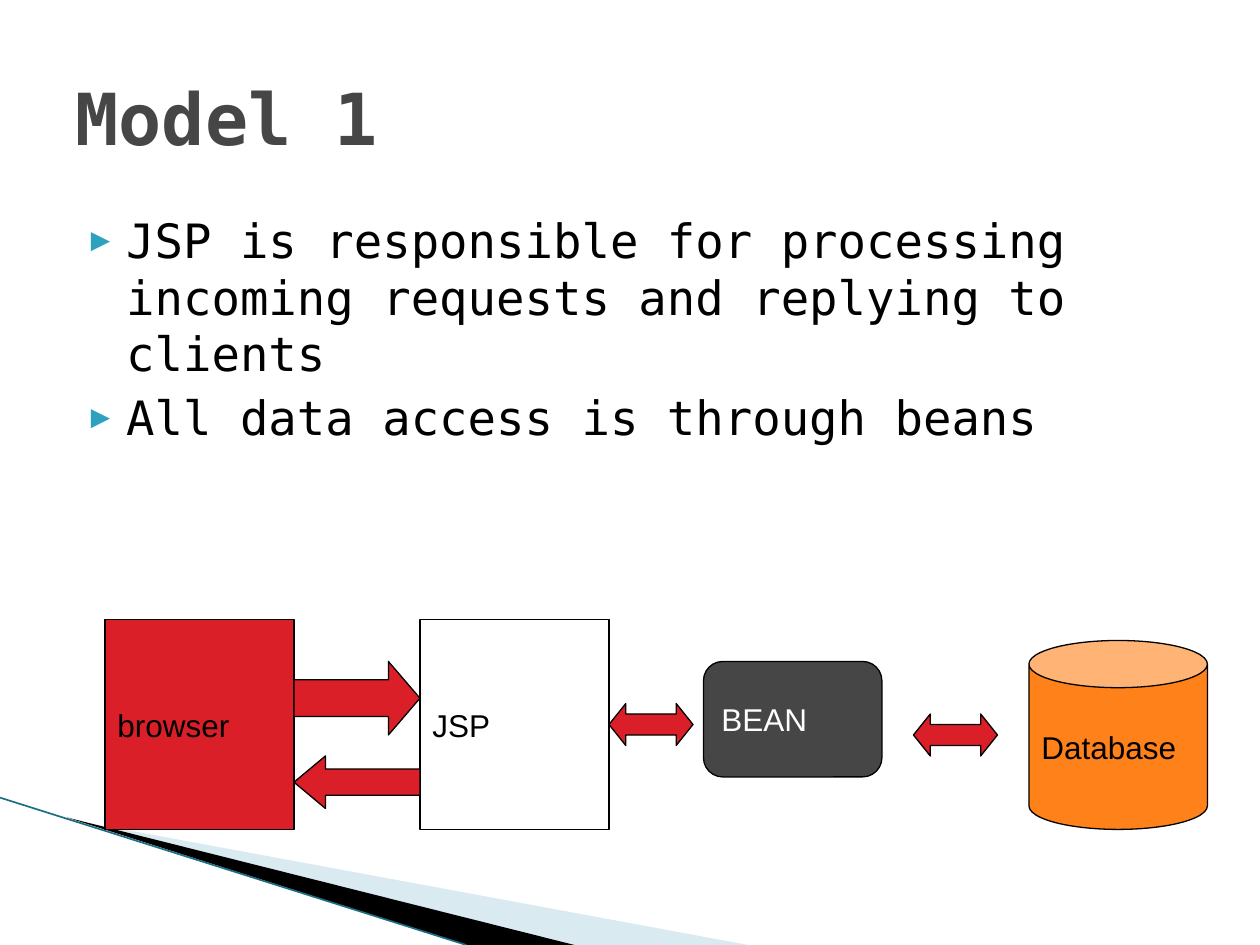
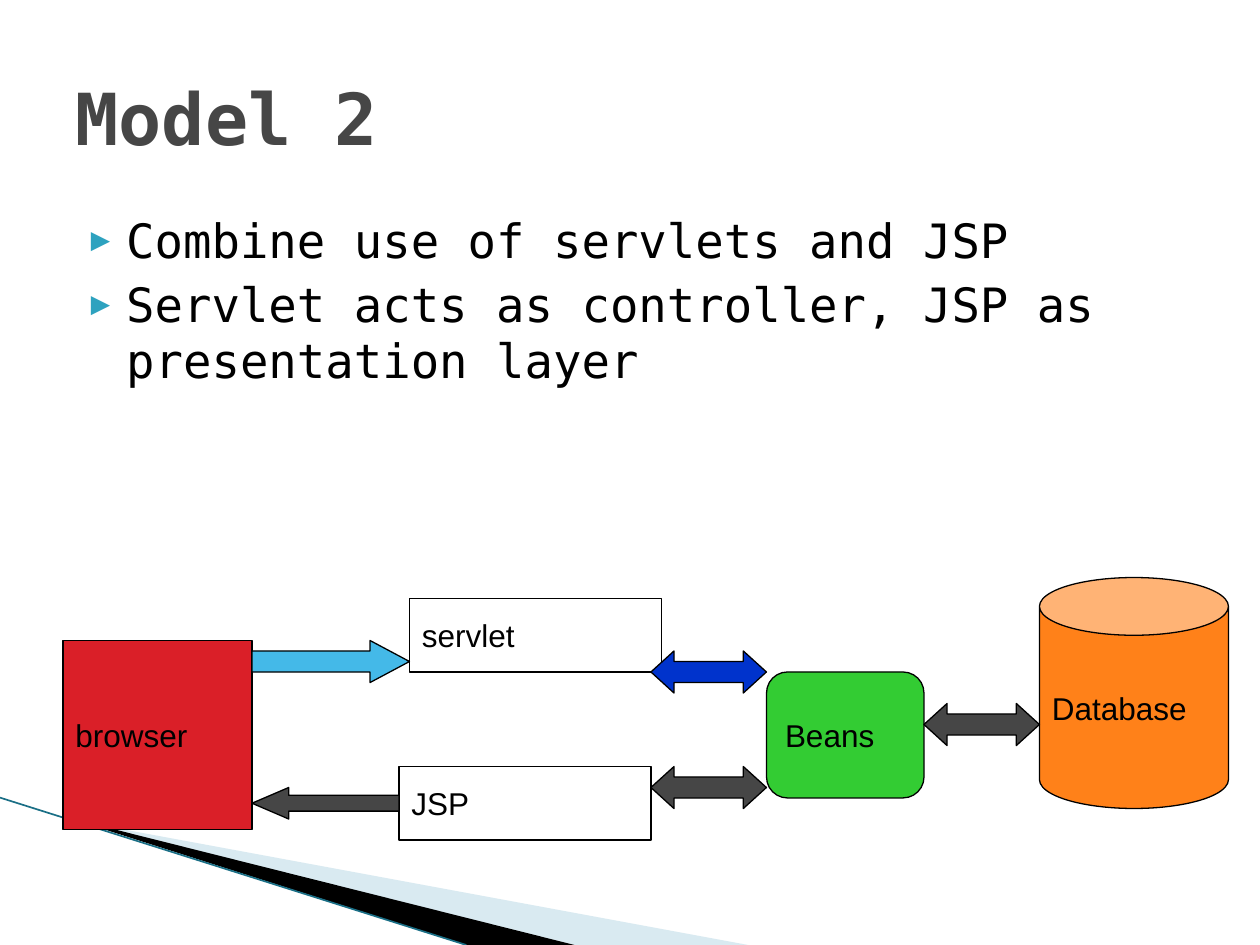
from dataclasses import dataclass

from lxml.etree import SubElement
from pptx import Presentation
from pptx.dml.color import RGBColor
from pptx.enum.shapes import MSO_CONNECTOR, MSO_SHAPE
from pptx.enum.text import MSO_ANCHOR, MSO_AUTO_SIZE, PP_ALIGN
from pptx.oxml.ns import qn
from pptx.util import Cm, Length, Pt

BLACK = RGBColor(0x00, 0x00, 0x00)
WHITE = RGBColor(0xFF, 0xFF, 0xFF)
CHARCOAL = RGBColor(0x46, 0x46, 0x46)
RED = RGBColor(0xDA, 0x1F, 0x28)
ORANGE = RGBColor(0xFF, 0x81, 0x19)
GREEN = RGBColor(0x33, 0xCC, 0x33)
SKY = RGBColor(0x44, 0xB9, 0xE8)
BLUE = RGBColor(0x00, 0x33, 0xCC)
TEAL = RGBColor(0x2D, 0xA2, 0xBF)
PALE_BLUE = RGBColor(0xA0, 0xCB, 0xDC)
DEEP_TEAL = RGBColor(0x1A, 0x6F, 0x86)

HEADING_FONT = "DejaVu Sans Mono"
LABEL_FONT = "Arial"
GRID_STEP = 2.54 / 12

PALE_WEDGE = [(1.4, 16.52), (15.08, 19.05), (11.58, 19.05)]
BLACK_WEDGE = [(1.35, 16.48), (11.58, 19.05), (9.4, 19.05)]


@dataclass(frozen=True)
class Box:
    left: float
    top: float
    width: float
    height: float


@dataclass(frozen=True)
class Node:
    label: str
    kind: MSO_SHAPE
    box: Box
    fill: RGBColor
    text_color: RGBColor = BLACK


@dataclass(frozen=True)
class Arrow:
    kind: MSO_SHAPE
    box: Box
    fill: RGBColor


@dataclass(frozen=True)
class ModelSlide:
    title: str
    bullets: list[str]
    nodes: list[Node]
    arrows: list[Arrow]


TITLE_BOX = Box(6, 3.6, 108, 15)
BODY_BOX = Box(6, 19.5, 108, 59.4)

MODELS = [
    ModelSlide(
        "Model 1",
        [
            "JSP is responsible for processing incoming requests and replying to clients",
            "All data access is through beans",
        ],
        [
            Node("browser", MSO_SHAPE.RECTANGLE, Box(10, 59, 18, 20), RED),
            Node("JSP", MSO_SHAPE.RECTANGLE, Box(40, 59, 18, 20), WHITE),
            Node("BEAN", MSO_SHAPE.ROUNDED_RECTANGLE, Box(67, 63, 17, 11), CHARCOAL, WHITE),
            Node("Database", MSO_SHAPE.CAN, Box(98, 61, 17, 18), ORANGE),
        ],
        [
            Arrow(MSO_SHAPE.RIGHT_ARROW, Box(28, 63, 12, 7), RED),
            Arrow(MSO_SHAPE.LEFT_RIGHT_ARROW, Box(58, 67, 8, 4), RED),
            Arrow(MSO_SHAPE.LEFT_ARROW, Box(28, 72, 12, 5), RED),
            Arrow(MSO_SHAPE.LEFT_RIGHT_ARROW, Box(87, 68, 8, 4), RED),
        ],
    ),
    ModelSlide(
        "Model 2",
        [
            "Combine use of servlets and JSP",
            "Servlet acts as controller, JSP as presentation layer",
        ],
        [
            Node("browser", MSO_SHAPE.RECTANGLE, Box(6, 61, 18, 18), RED),
            Node("servlet", MSO_SHAPE.RECTANGLE, Box(39, 57, 24, 7), WHITE),
            Node("JSP", MSO_SHAPE.RECTANGLE, Box(38, 73, 24, 7), WHITE),
            Node("Beans", MSO_SHAPE.ROUNDED_RECTANGLE, Box(73, 64, 15, 12), GREEN),
            Node("Database", MSO_SHAPE.CAN, Box(99, 55, 18, 22), ORANGE),
        ],
        [
            Arrow(MSO_SHAPE.LEFT_ARROW, Box(24, 75, 14, 3), CHARCOAL),
            Arrow(MSO_SHAPE.RIGHT_ARROW, Box(24, 61, 15, 4), SKY),
            Arrow(MSO_SHAPE.LEFT_RIGHT_ARROW, Box(62, 73, 11, 4), CHARCOAL),
            Arrow(MSO_SHAPE.LEFT_RIGHT_ARROW, Box(62, 62, 11, 4), BLUE),
            Arrow(MSO_SHAPE.LEFT_RIGHT_ARROW, Box(88, 67, 11, 4), CHARCOAL),
        ],
    ),
]


def place(box: Box) -> list[Length]:
    return [Cm(steps * GRID_STEP) for steps in (box.left, box.top, box.width, box.height)]


def move(shape, box: Box) -> None:
    shape.left, shape.top, shape.width, shape.height = place(box)


def add_text(paragraph, text: str, font: str, size: float, color: RGBColor, bold: bool = False) -> None:
    run = paragraph.add_run()
    run.text = text
    run.font.name = font
    run.font.size = Pt(size)
    run.font.bold = bold
    run.font.color.rgb = color


def add_bullet(paragraph) -> None:
    paragraph.space_before = Pt(4)
    properties = paragraph._p.get_or_add_pPr()
    properties.set("marL", str(Cm(1.02)))
    properties.set("indent", str(Cm(-0.71)))
    color = SubElement(properties, qn("a:buClr"))
    SubElement(color, qn("a:srgbClr"), val=str(TEAL))
    SubElement(properties, qn("a:buSzPct"), val="68000")
    SubElement(properties, qn("a:buFont"), typeface=HEADING_FONT)
    SubElement(properties, qn("a:buChar"), char="▶")


def draw_wedge(slide, points: list[tuple[float, float]], color: RGBColor, opacity: int = 100) -> None:
    start, *others = [(Cm(x), Cm(y)) for x, y in points]
    builder = slide.shapes.build_freeform(*start)
    builder.add_line_segments(others, close=True)
    shape = builder.convert_to_shape()
    shape.shadow.inherit = False
    shape.fill.solid()
    shape.fill.fore_color.rgb = color
    shape.line.fill.background()
    if opacity < 100:
        color_element = shape.element.spPr.find(qn("a:solidFill"))[0]
        SubElement(color_element, qn("a:alpha"), val=str(opacity * 1000))


def draw_corner(slide) -> None:
    draw_wedge(slide, PALE_WEDGE, PALE_BLUE, 40)
    draw_wedge(slide, BLACK_WEDGE, BLACK)
    edge = slide.shapes.add_connector(MSO_CONNECTOR.STRAIGHT, Cm(0), Cm(16.08), Cm(9.4), Cm(19.05))
    edge.line.color.rgb = DEEP_TEAL
    edge.line.width = Pt(0.95)
    SubElement(edge.element.spPr, qn("a:effectLst"))


def write_title(slide, text: str) -> None:
    title = slide.shapes.title
    move(title, TITLE_BOX)
    frame = title.text_frame
    frame.auto_size = MSO_AUTO_SIZE.NONE
    frame.vertical_anchor = MSO_ANCHOR.MIDDLE
    paragraph = frame.paragraphs[0]
    paragraph.alignment = PP_ALIGN.LEFT
    add_text(paragraph, text, HEADING_FONT, 41, CHARCOAL, bold=True)


def write_bullets(slide, bullets: list[str]) -> None:
    body = slide.placeholders[1]
    move(body, BODY_BOX)
    frame = body.text_frame
    frame.auto_size = MSO_AUTO_SIZE.NONE
    for index, text in enumerate(bullets):
        paragraph = frame.add_paragraph() if index else frame.paragraphs[0]
        add_bullet(paragraph)
        add_text(paragraph, text, HEADING_FONT, 27, BLACK)


def draw_outlined(slide, kind: MSO_SHAPE, box: Box, fill: RGBColor):
    shape = slide.shapes.add_shape(kind, *place(box))
    shape.shadow.inherit = False
    shape.fill.solid()
    shape.fill.fore_color.rgb = fill
    shape.line.color.rgb = BLACK
    shape.line.width = Pt(0.75)
    return shape


def draw_node(slide, node: Node) -> None:
    shape = draw_outlined(slide, node.kind, node.box, node.fill)
    if node.kind == MSO_SHAPE.CAN:
        shape.adjustments[0] = node.box.height / 4 / node.box.width
    frame = shape.text_frame
    frame.word_wrap = False
    frame.vertical_anchor = MSO_ANCHOR.MIDDLE
    paragraph = frame.paragraphs[0]
    paragraph.alignment = PP_ALIGN.LEFT
    add_text(paragraph, node.label, LABEL_FONT, 18, node.text_color)


def draw_arrow(slide, arrow: Arrow) -> None:
    shape = draw_outlined(slide, arrow.kind, arrow.box, arrow.fill)
    head_share = 5 if arrow.kind == MSO_SHAPE.LEFT_RIGHT_ARROW else 4
    shape.adjustments[0] = 0.5
    shape.adjustments[1] = arrow.box.width / head_share / arrow.box.height


def build_slide(presentation, model: ModelSlide) -> None:
    slide = presentation.slides.add_slide(presentation.slide_layouts[1])
    draw_corner(slide)
    write_title(slide, model.title)
    write_bullets(slide, model.bullets)
    for node in model.nodes:
        draw_node(slide, node)
    for arrow in model.arrows:
        draw_arrow(slide, arrow)


def main() -> None:
    presentation = Presentation()
    presentation.slide_width = Cm(25.4)
    presentation.slide_height = Cm(19.05)
    for model in MODELS:
        build_slide(presentation, model)
    presentation.save("out.pptx")


main()
